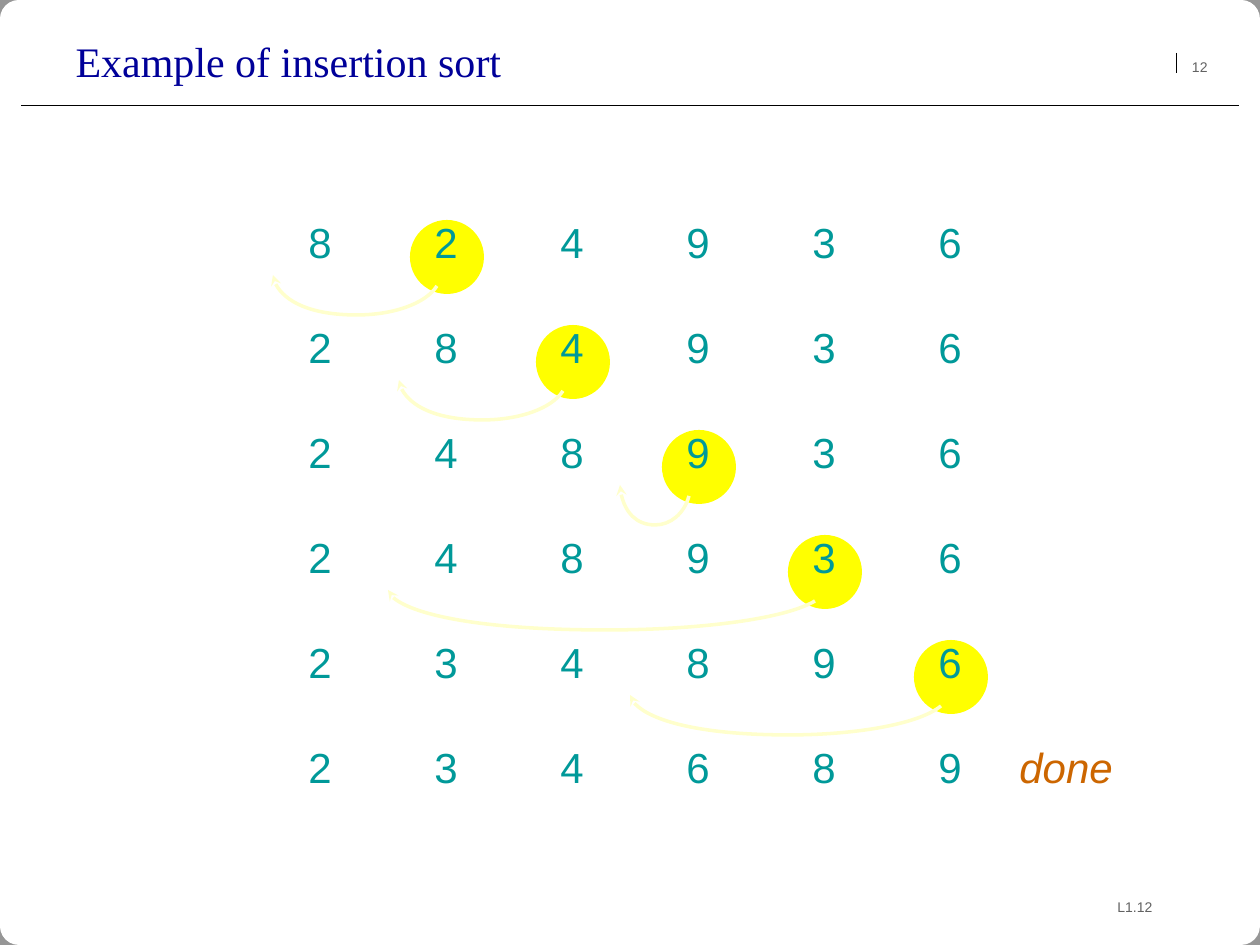
from lxml import etree
from pptx import Presentation
from pptx.dml.color import RGBColor
from pptx.enum.shapes import MSO_CONNECTOR, MSO_SHAPE
from pptx.enum.text import MSO_ANCHOR, MSO_AUTO_SIZE, PP_ALIGN
from pptx.oxml.ns import qn
from pptx.util import Emu, Pt

STRAIGHT = MSO_CONNECTOR.STRAIGHT
OVAL, ROUNDED = MSO_SHAPE.OVAL, MSO_SHAPE.ROUNDED_RECTANGLE
TOP = MSO_ANCHOR.TOP
LEFT, RIGHT = PP_ALIGN.LEFT, PP_ALIGN.RIGHT
FIT = MSO_AUTO_SIZE.SHAPE_TO_FIT_TEXT

BLACK = RGBColor(0x00, 0x00, 0x00)
WHITE = RGBColor(0xFF, 0xFF, 0xFF)
BACKDROP = RGBColor(0x96, 0x96, 0x96)
GREY = RGBColor(0x62, 0x62, 0x62)
NAVY = RGBColor(0x00, 0x00, 0x99)
TEAL = RGBColor(0x00, 0x99, 0x99)
ORANGE = RGBColor(0xCC, 0x66, 0x00)
YELLOW = RGBColor(0xFF, 0xFF, 0x00)
CREAM = RGBColor(0xFF, 0xFF, 0xCC)

# Sorting grid: first cell and pitch
GRID_LEFT, GRID_TOP = 296, 210
COLUMN, ROW = 126, 105
STEPS = ["824936", "284936", "248936", "248936", "234896", "234689"]
# Left end of the arrow in each step; step n moves the key in column n + 1
ARROW_ENDS = [273, 399, 620, 388, 630]
# Two Bezier curves: share of the width from the left, distance below the row
ARC = [(1, 76), (0.93, 94), (0.73, 105), (0.51, 105),
       (0.23, 105), (0.01, 87), (0, 65)]


def px(length):
    return Emu(round(length * 914400 / 126))


def format_text(shape, text, size, color, font="Arial", align=LEFT, italic=False):
    frame = shape.text_frame
    frame.text = text
    frame.vertical_anchor = TOP
    para = frame.paragraphs[0]
    para.alignment = align
    style = para.runs[0].font
    style.name, style.size, style.italic = font, Pt(size), italic
    style.color.rgb = color


def add_label(page, text, left, top, width, height, size, color, wrap=False, **style):
    box = page.shapes.add_textbox(px(left), px(top), px(width), px(height))
    format_text(box, text, size, color, **style)
    box.text_frame.word_wrap = wrap
    if not wrap:
        box.text_frame.auto_size = FIT


def add_filled(page, kind, left, top, width, height, color):
    shape = page.shapes.add_shape(kind, px(left), px(top), px(width), px(height))
    shape.shadow.inherit = False
    shape.fill.solid()
    shape.fill.fore_color.rgb = color
    shape.line.fill.background()
    return shape


def add_rule(page, x1, y1, x2, y2):
    rule = page.shapes.add_connector(STRAIGHT, px(x1), px(y1), px(x2), px(y2))
    rule.line.color.rgb = BLACK
    rule.line.width = Pt(0.25)
    etree.SubElement(rule.element.spPr, qn("a:effectLst"))


def add_insertion_arrow(page, left, right, row_top):
    points = [(px(left + share * (right - left)), px(row_top + drop))
              for share, drop in ARC]
    builder = page.shapes.build_freeform(*points[0])
    builder.add_line_segments(points[1:], close=False)
    arrow = builder.convert_to_shape()
    arrow.shadow.inherit = False
    arrow.fill.background()
    arrow.line.color.rgb = CREAM
    arrow.line.width = Pt(2)
    outline_style = arrow.element.spPr.find(qn("a:ln"))
    etree.SubElement(outline_style, qn("a:tailEnd"), type="stealth")

    # Fold every three segments into one cubic curve
    segments = list(arrow.element.iter(qn("a:lnTo")))
    outline = segments[0].getparent()
    for first in range(0, len(segments), 3):
        curve = etree.SubElement(outline, qn("a:cubicBezTo"))
        for segment in segments[first:first + 3]:
            curve.append(segment[0])
            outline.remove(segment)


def add_step(page, step, digits):
    top = GRID_TOP + step * ROW
    moving = step < len(ARROW_ENDS)
    key_left = GRID_LEFT + (step + 1) * COLUMN
    if moving:
        add_filled(page, OVAL, key_left - 12, top + 10, 74, 74, YELLOW)
    for column, digit in enumerate(digits):
        add_label(page, digit, GRID_LEFT + column * COLUMN, top, 49, 63, 24, TEAL)
    if moving:
        add_insertion_arrow(page, ARROW_ENDS[step], key_left + 15, top)


def main():
    deck = Presentation()
    deck.slide_width, deck.slide_height = px(1260), px(945)
    page = deck.slides.add_slide(deck.slide_layouts[5])

    # Background card and header rules
    page.background.fill.solid()
    page.background.fill.fore_color.rgb = BACKDROP
    card = add_filled(page, ROUNDED, 0, 0, 1260, 945, WHITE)
    card.adjustments[0] = 0.02
    add_rule(page, 1239, 105, 21, 105)
    add_rule(page, 1176, 53, 1176, 73)

    # Title, in front of the card
    title = page.shapes.title
    title.element.addprevious(card.element)
    title.left, title.top, title.width, title.height = map(px, (63, 29, 1040, 158))
    format_text(title, "Example of insertion sort", 24, NAVY, "Times New Roman")

    # Page numbers
    add_label(page, "12", 1147, 52, 73, 32, 8, GREY, wrap=True, align=RIGHT)
    add_label(page, "L1.12", 903, 892, 262, 32, 8, GREY, wrap=True, align=RIGHT)

    # Sorting steps
    for step, digits in enumerate(STEPS):
        add_step(page, step, digits)
    # The box is a little wider than the word, so that it stays on one line
    add_label(page, "done", 1007, GRID_TOP + 5 * ROW, 122, 63, 24, ORANGE, italic=True)

    deck.save("out.pptx")


if __name__ == "__main__":
    main()
